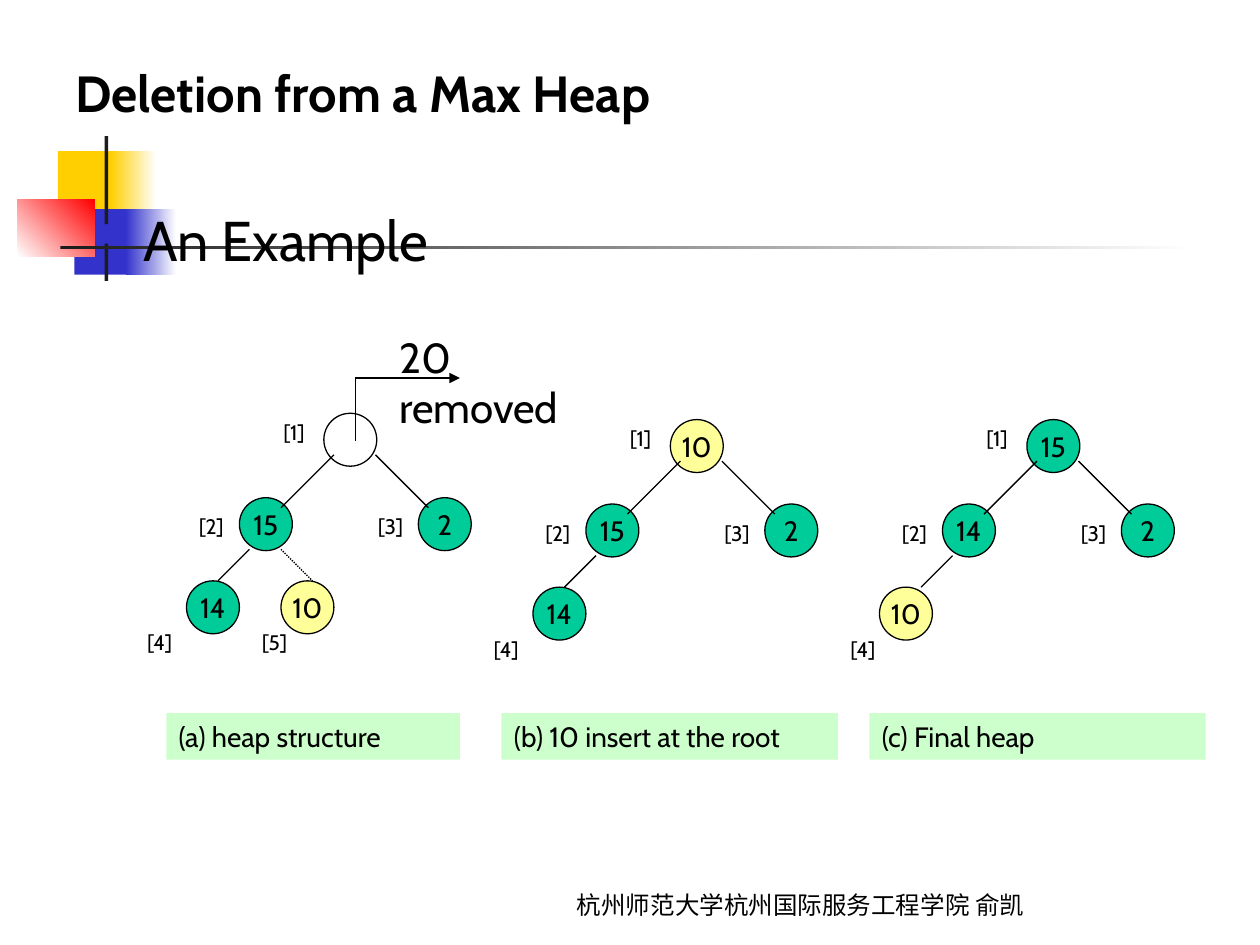
from dataclasses import dataclass

from lxml import etree
from pptx import Presentation, util as u
from pptx.dml.color import RGBColor
from pptx.enum import dml, shapes, text
from pptx.oxml.ns import qn

PX = 9144  # EMU in one px, 100 px to the inch


@dataclass(frozen=True)
class Theme:
    font: str = "Cabin"
    ink: str = "000000"
    paper: str = "FFFFFF"
    bar: str = "1C1C1C"
    yellow: str = "FFCF01"
    blue: str = "3333CC"
    red: str = "FF0000"
    node: str = "00CC99"
    moved: str = "FFFF99"
    caption: str = "CCFFCC"
    title_size: int = 29
    body_size: int = 32
    note_size: int = 24
    node_size: int = 16
    footer_size: int = 14
    label_size: int = 12
    line_width: float = 0.75


def px(*lengths):
    return [u.Emu(length * PX) for length in lengths]


def apply(target, values):
    for name, value in values.items():
        setattr(target, name, value)


class Canvas:
    """Draws on a slide, or inside the group that was last started."""

    def __init__(self, slide, theme):
        self.slide = slide
        self.theme = theme
        self.shapes = slide.shapes

    def start_group(self):
        self.shapes = self.slide.shapes.add_group_shape().shapes

    def put_words(self, shape, words, size, bold=False, bullet=None, frame=None, paragraph=None):
        body = shape.text_frame
        apply(body, {"word_wrap": True, "vertical_anchor": text.MSO_ANCHOR.TOP, **(frame or {})})
        line = body.paragraphs[0]
        line.text = words
        apply(line, {"alignment": text.PP_ALIGN.LEFT, **(paragraph or {})})
        if bullet:
            self.add_bullet(line, bullet)
        apply(line.runs[0].font, {"name": self.theme.font, "size": u.Pt(size), "bold": bold})
        line.runs[0].font.color.rgb = RGBColor.from_string(self.theme.ink)

    def add_bullet(self, line, mark, indent=37):
        properties = line._p.get_or_add_pPr()
        properties.set("marL", str(indent * PX))
        properties.set("indent", str(-indent * PX))
        color = etree.SubElement(properties, qn("a:buClr"))
        etree.SubElement(color, qn("a:srgbClr"), val=self.theme.blue)
        etree.SubElement(properties, qn("a:buSzPct"), val="60000")
        etree.SubElement(properties, qn("a:buChar"), char=mark)

    def label(self, box, words, size, **style):
        self.put_words(self.shapes.add_textbox(*px(*box)), words, size, **style)

    def block(self, box, colors, angle=0, kind=shapes.MSO_SHAPE.RECTANGLE):
        """One colour fills plainly, two make a gradient, none leaves it open."""
        shape = self.shapes.add_shape(kind, *px(*box))
        shape.shadow.inherit = False
        shape.line.fill.background()
        if len(colors) == 2:
            shape.fill.gradient()
            shape.fill.gradient_angle = angle
            for stop, color in zip(shape.fill.gradient_stops, colors):
                stop.color.rgb = RGBColor.from_string(color)
        elif colors:
            shape.fill.solid()
            shape.fill.fore_color.rgb = RGBColor.from_string(colors[0])
        else:
            shape.fill.background()
        return shape

    def outline(self, line):
        line.color.rgb = RGBColor.from_string(self.theme.ink)
        line.width = u.Pt(self.theme.line_width)

    def node(self, left, top, value, color):
        circle = self.block((left, top, 42, 42), [color] if color else [],
                            kind=shapes.MSO_SHAPE.OVAL)
        self.outline(circle.line)
        if value:
            self.put_words(circle, value, self.theme.node_size,
                           frame={"word_wrap": False, "vertical_anchor": text.MSO_ANCHOR.MIDDLE},
                           paragraph={"alignment": text.PP_ALIGN.CENTER})

    def edge(self, start, end, dotted=False, arrow=False):
        connector = self.shapes.add_connector(shapes.MSO_CONNECTOR.STRAIGHT, *px(*start, *end))
        self.outline(connector.line)
        if dotted:
            connector.line.dash_style = dml.MSO_LINE.ROUND_DOT
        if arrow:
            etree.SubElement(connector.line._get_or_add_ln(), qn("a:tailEnd"), type="triangle")
        etree.SubElement(connector._element.spPr, qn("a:effectLst"))

    def caption(self, left, width, words):
        bar = self.block((left, 566, width, 37), [self.theme.caption])
        self.put_words(bar, words, self.theme.node_size)


# Offsets from the top left of the root, keyed by heap index
NODE_AT = {1: (0, 0), 2: (-67, 67), 3: (75, 67), 4: (-109, 133), 5: (-34, 133)}
INDEX_AT = {1: (-42, 0), 2: (-109, 75), 3: (33, 75), 4: (-150, 167), 5: (-59, 167)}
EDGE_TO = {
    2: ((8, 33), (-34, 75)),
    3: ((41, 33), (83, 75)),
    4: ((-59, 108), (-84, 133)),
    5: ((-34, 108), (-9, 133)),
}


def draw_heap(canvas, root, values, colors, shifts):
    def place(offset):
        return root[0] + offset[0], root[1] + offset[1]

    for index, value in enumerate(values, 1):
        left, top = place(NODE_AT[index])
        color = colors.get(index, canvas.theme.node)
        canvas.node(left + shifts.get(index, 0), top, value, color)
    for index in range(1, len(values) + 1):
        if index in EDGE_TO:
            canvas.edge(*map(place, EDGE_TO[index]), dotted=index == 5)
        canvas.label((*place(INDEX_AT[index]), 42, 30), f"[{index}]", canvas.theme.label_size)


def draw_backdrop(canvas):
    theme = canvas.theme
    for box, colors, angle in [
        ((46, 120, 48, 52), [theme.yellow], 0),
        ((88, 120, 36, 52), [theme.yellow, theme.paper], 0),
        ((59, 166, 46, 52), [theme.blue], 0),
        ((100, 166, 40, 52), [theme.blue, theme.paper], 0),
        ((14, 158, 61, 46), [theme.paper, theme.red], 45),
        ((83, 108, 3, 115), [theme.bar], 0),
        ((48, 195, 900, 3), [theme.bar, theme.paper], 0),
    ]:
        canvas.block(box, colors, angle)


def main():
    deck = Presentation()
    deck.slide_width, deck.slide_height = px(1000, 750)
    theme = Theme()
    canvas = Canvas(deck.slides.add_slide(deck.slide_layouts[6]), theme)

    draw_backdrop(canvas)
    at_bottom = {"vertical_anchor": text.MSO_ANCHOR.BOTTOM}
    canvas.label((406, 702, 459, 33), "杭州师范大学杭州国际服务工程学院 俞凯", theme.footer_size,
                 frame=at_bottom,
                 paragraph={"alignment": text.PP_ALIGN.CENTER, "line_spacing": 0.96})
    canvas.label((50, 30, 900, 72), "Deletion from a Max Heap", theme.title_size,
                 bold=True, frame=at_bottom)
    canvas.label((67, 158, 865, 78), "An Example", theme.body_size, bullet="■")

    heaps = [
        ((257, 328), ["", "15", "2", "14", "10"], {1: None, 5: theme.moved}, {},
         (132, 233, "(a) heap structure")),
        ((532, 333), ["10", "15", "2", "14"], {1: theme.moved}, {},
         (398, 267, "(b) 10 insert at the root")),
        ((815, 333), ["15", "14", "2", "10"], {4: theme.moved}, {4: -8},
         (690, 267, "(c) Final heap")),
    ]
    for root, values, colors, shifts, caption in heaps:
        canvas.start_group()
        draw_heap(canvas, root, values, colors, shifts)
        canvas.caption(*caption)
        if not values[0]:
            canvas.edge((282, 350), (282, 300))
            canvas.edge((282, 300), (365, 300), arrow=True)
            canvas.label((307, 258, 158, 130), "20 removed", theme.note_size)

    deck.save("out.pptx")


if __name__ == "__main__":
    main()
